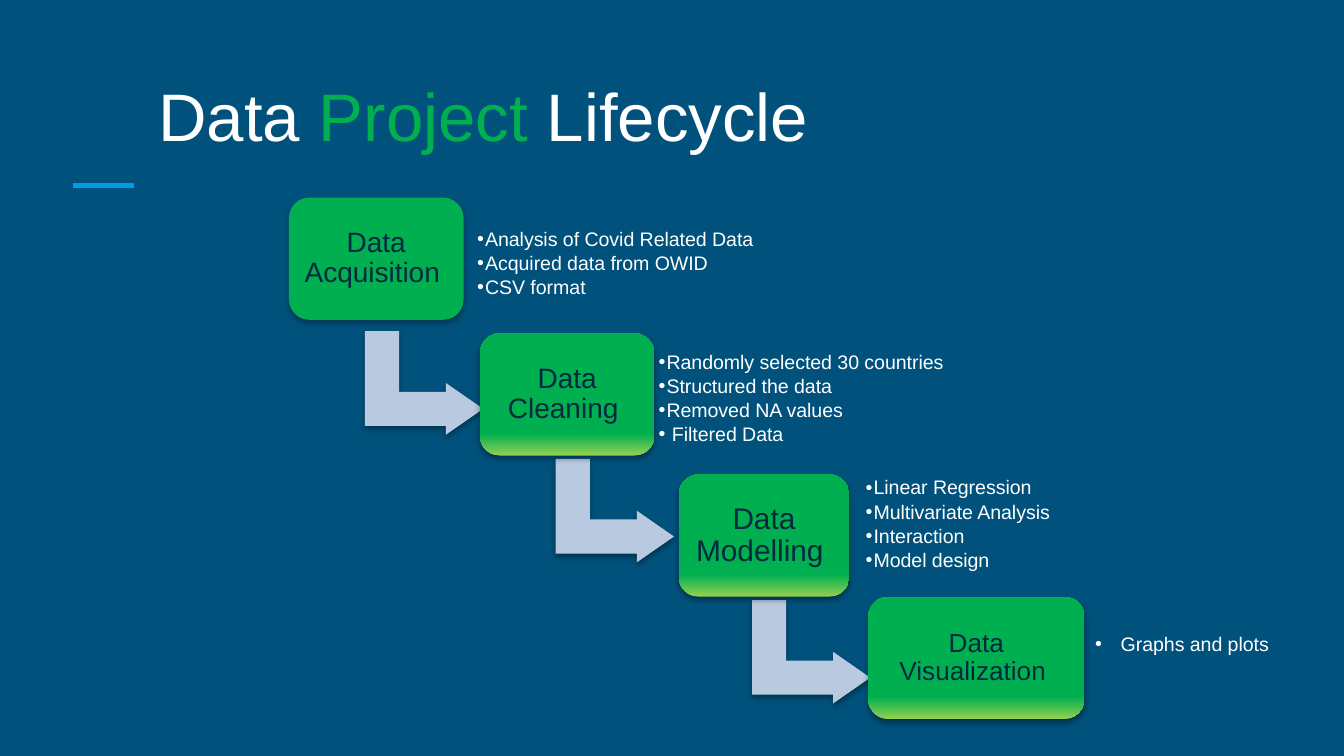
from dataclasses import dataclass
from typing import Optional

from lxml import etree
from pptx import Presentation
from pptx.dml.color import RGBColor
from pptx.enum import shapes, text
from pptx.oxml import ns
from pptx.util import Inches, Pt

NAVY = RGBColor(0x00, 0x51, 0x7C)
INK = RGBColor(0x00, 0x28, 0x3E)
WHITE = RGBColor(0xFF, 0xFF, 0xFF)
GREEN = RGBColor(0x00, 0xB0, 0x50)
LIME = RGBColor(0x92, 0xD0, 0x50)
PALE_BLUE = RGBColor(0xB9, 0xC9, 0xE0)
ACCENT = RGBColor(0x03, 0x9B, 0xE5)
FONT = "Arial"
BOX_HEIGHT = 0.91
ARROW_SIZE = (0.77, 0.88)


@dataclass
class Notes:
    area: tuple[float, float, float, float]
    lines: list[str]
    margin: float = 0.05
    left: float = 0.06
    indent: float = -0.07
    line_spacing: float = 0.9


@dataclass
class Stage:
    label: str
    left: float
    top: float
    width: float
    size: float
    notes: Notes
    margin: float = 0.06
    glow: bool = True
    arrow: Optional[tuple[float, float]] = None


STAGES = [
    Stage("Data Acquisition ", 2.15, 1.47, 1.3, 15,
          Notes((3.5, 1.6, 3.06, 0.73),
                ["Analysis of Covid Related Data", "Acquired data from OWID", "CSV format"]),
          glow=False, arrow=(2.77, 2.41)),
    Stage("Data Cleaning ", 3.57, 2.48, 1.3, 15,
          Notes((4.85, 2.56, 2.79, 0.82),
                ["Randomly selected 30 countries", "Structured the data",
                 "Removed NA values", " Filtered Data"]),
          arrow=(4.19, 3.36)),
    Stage("Data Modelling ", 5.05, 3.53, 1.27, 16,
          Notes((6.39, 3.52, 2.31, 0.77),
                ["Linear Regression", "Multivariate Analysis", "Interaction", "Model design"]),
          margin=0.07, arrow=(5.65, 4.41)),
    Stage("Data Visualization ", 6.46, 4.44, 1.61, 14,
          Notes((8.05, 4.65, 1.59, 0.28), ["Graphs and plots"],
                margin=0.1, left=0.19, indent=-0.19, line_spacing=1.0)),
]


def format_span(span, size: float, color: RGBColor) -> None:
    span.font.name = FONT
    span.font.size = Pt(size)
    span.font.color.rgb = color


def set_margins(frame, across: float, down: float) -> None:
    frame.word_wrap = True
    frame.margin_left = frame.margin_right = Inches(across)
    frame.margin_top = frame.margin_bottom = Inches(down)


def add_shadow(shape) -> None:
    shape.shadow.inherit = False
    effects = shape._element.spPr.find(ns.qn("a:effectLst"))
    shadow = etree.SubElement(effects, ns.qn("a:outerShdw"), blurRad=str(Pt(3.1)),
                              dist=str(Pt(1.8)), dir="5400000", algn="ctr", rotWithShape="0")
    color = etree.SubElement(shadow, ns.qn("a:srgbClr"), val="000000")
    etree.SubElement(color, ns.qn("a:alpha"), val="35000")


def add_arrow(page, left: float, top: float) -> None:
    arrow = page.shapes.add_shape(shapes.MSO_SHAPE.BENT_UP_ARROW, Inches(left), Inches(top),
                                  *map(Inches, ARROW_SIZE))
    arrow.rotation = 90
    for index, value in enumerate((0.33, 0.25, 0.36)):
        arrow.adjustments[index] = value
    arrow.fill.solid()
    arrow.fill.fore_color.rgb = PALE_BLUE
    arrow.line.fill.background()
    add_shadow(arrow)


def add_stage_box(page, stage: Stage) -> None:
    box = page.shapes.add_shape(shapes.MSO_SHAPE.ROUNDED_RECTANGLE, Inches(stage.left),
                                Inches(stage.top), Inches(stage.width), Inches(BOX_HEIGHT))
    box.line.fill.background()
    if stage.glow:
        box.fill.gradient()
        box.fill.gradient_angle = 90
        lower, upper = box.fill.gradient_stops
        lower.color.rgb, lower.position = LIME, 0
        upper.color.rgb, upper.position = GREEN, 0.18
    else:
        box.fill.solid()
        box.fill.fore_color.rgb = GREEN
    add_shadow(box)
    frame = box.text_frame
    frame.text = stage.label
    frame.vertical_anchor = text.MSO_ANCHOR.MIDDLE
    set_margins(frame, stage.margin, stage.margin)
    para = frame.paragraphs[0]
    para.alignment = text.PP_ALIGN.CENTER
    para.line_spacing = 0.9
    format_span(para.runs[0], stage.size, INK)


def add_bullet(para, left: float, indent: float) -> None:
    properties = para._p.get_or_add_pPr()
    properties.set("marL", str(Inches(left)))
    properties.set("indent", str(Inches(indent)))
    color = etree.SubElement(properties, ns.qn("a:buClr"))
    etree.SubElement(color, ns.qn("a:srgbClr"), val=str(WHITE))
    etree.SubElement(properties, ns.qn("a:buFont"), typeface=FONT)
    etree.SubElement(properties, ns.qn("a:buChar"), char="•")


def add_notes(page, notes: Notes) -> None:
    box = page.shapes.add_textbox(*map(Inches, notes.area))
    frame = box.text_frame
    frame.text = "\n".join(notes.lines)
    frame.vertical_anchor = text.MSO_ANCHOR.MIDDLE
    set_margins(frame, notes.margin, 0.05)
    for index, para in enumerate(frame.paragraphs):
        para.line_spacing = notes.line_spacing
        if index:
            para.space_before = Pt(1.6)
        add_bullet(para, notes.left, notes.indent)
        format_span(para.runs[0], 10.5, WHITE)


def add_title(page) -> None:
    box = page.shapes.add_textbox(Inches(1.08), Inches(0.5), Inches(8.45), Inches(0.71))
    set_margins(box.text_frame, 0.1, 0.05)
    para = box.text_frame.paragraphs[0]
    for words, color in (("Data ", WHITE), ("Project", GREEN), (" Lifecycle", WHITE)):
        span = para.add_run()
        span.text = words
        format_span(span, 36, color)


def add_accent_line(page) -> None:
    line = page.shapes.add_connector(shapes.MSO_CONNECTOR.STRAIGHT, Inches(0.54), Inches(1.38),
                                     Inches(1), Inches(1.38))
    line.line.color.rgb = ACCENT
    line.line.width = Pt(3)
    etree.SubElement(line._element.spPr, ns.qn("a:effectLst"))


def main() -> None:
    deck = Presentation()
    # Widescreen, 16:9
    deck.slide_width = Inches(10)
    deck.slide_height = Inches(10) * 9 // 16
    page = deck.slides.add_slide(deck.slide_layouts[6])
    page.background.fill.solid()
    page.background.fill.fore_color.rgb = NAVY

    # Accent line
    add_accent_line(page)

    # Staircase of stages
    for stage in STAGES:
        if stage.arrow:
            add_arrow(page, *stage.arrow)
        add_stage_box(page, stage)
        add_notes(page, stage.notes)

    # Heading
    add_title(page)

    deck.save("out.pptx")


if __name__ == "__main__":
    main()
